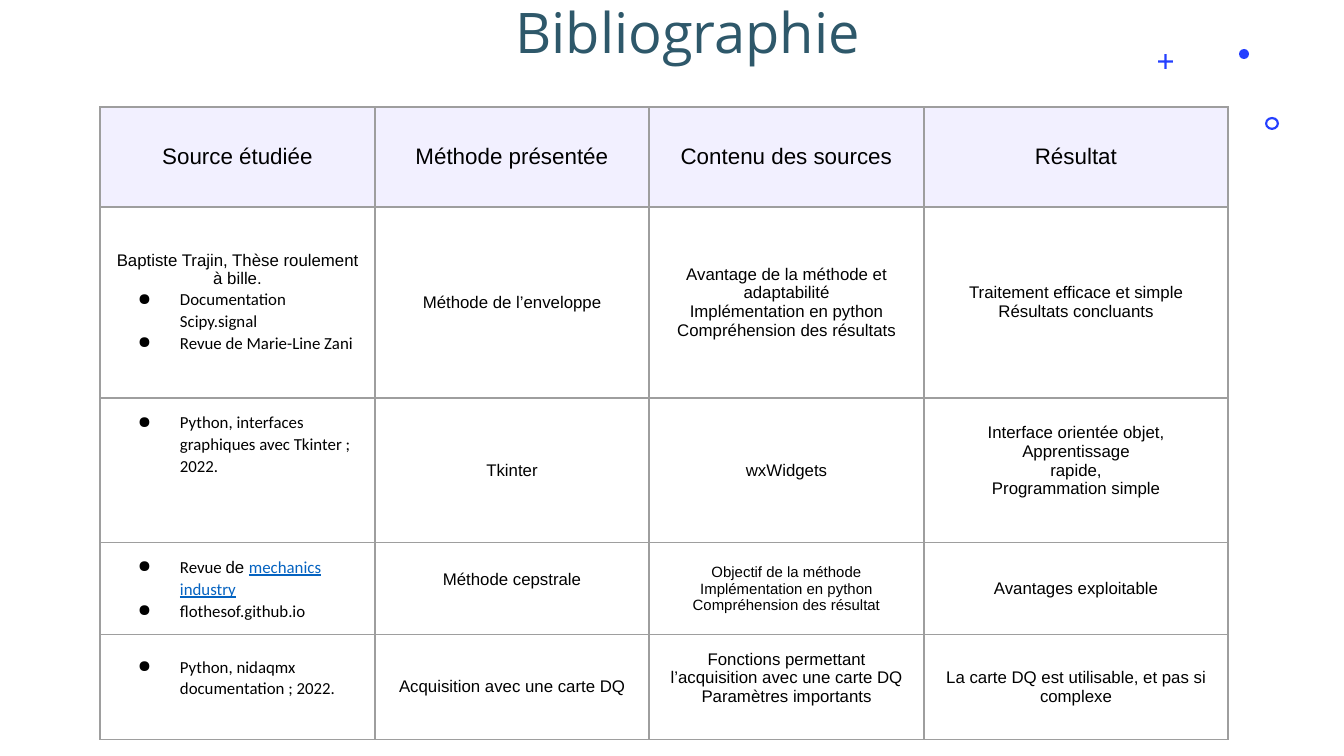
"""Build the bibliography slide: a title, a table of sources and three small ornaments."""
from collections import namedtuple

from lxml import etree
from pptx import Presentation
from pptx import util as u
from pptx.dml.color import RGBColor
from pptx.enum import shapes, text
from pptx.oxml import ns

Run = namedtuple("Run", "text style", defaults=["source"])
Bullet = namedtuple("Bullet", "runs")
Cell = namedtuple("Cell", "paragraphs style lift", defaults=["body", 0])

TITLE = "Bibliographie"
HEADERS = ["Source étudiée", "Méthode présentée", "Contenu des sources", "Résultat"]
ROWS = [
    [
        Cell([
            "Baptiste Trajin, Thèse roulement à bille.",
            Bullet([Run("Documentation Scipy.signal")]),
            Bullet([Run("Revue de Marie-Line Zani")]),
        ]),
        Cell(["Méthode de l’enveloppe"]),
        Cell([
            "Avantage de la méthode et adaptabilité",
            "Implémentation en python",
            "Compréhension des résultats",
        ]),
        Cell(["Traitement efficace et simple", "Résultats concluants"]),
    ],
    [
        Cell([Bullet([Run("Python, interfaces graphiques avec Tkinter ; 2022.")])], lift=52),
        Cell(["Tkinter"]),
        Cell(["wxWidgets"]),
        Cell(
            ["Interface orientée objet,", "Apprentissage", "rapide,", "Programmation simple"],
            lift=19,
        ),
    ],
    [
        Cell([
            Bullet([Run("Revue "), Run("de ", "body"), Run("mechanics industry", "link")]),
            Bullet([Run("flothesof.github.io")]),
        ]),
        Cell(["Méthode cepstrale"], lift=19),
        Cell(
            ["Objectif de la méthode", "Implémentation en python", "Compréhension des résultat"],
            style="small",
        ),
        Cell(["Avantages exploitable"]),
    ],
    [
        Cell([Bullet([Run("Python, nidaqmx documentation ; 2022.")])], lift=19),
        Cell(["Acquisition avec une carte DQ"]),
        Cell(
            ["Fonctions permettant l’acquisition avec une carte DQ", "Paramètres importants"],
            lift=18,
        ),
        Cell(["La carte DQ est utilisable, et pas si complexe"]),
    ],
]
ORNAMENTS = [
    (shapes.MSO_SHAPE.CROSS, (1158, 54, 15, 15), 0.43),
    (shapes.MSO_SHAPE.DONUT, (1265, 117, 14, 13), 0.17),
    (shapes.MSO_SHAPE.OVAL, (1239, 49, 10, 10), None),
]

THEME = {
    "colors": {"accent": "243FFF", "header": "F2F0FF", "border": "9E9E9E", "bullet": "000000"},
    "styles": {
        "title": {"name": "Open Sans", "size": 30, "color": "2E586A"},
        "header": {"name": "Arial", "size": 12, "color": "000000"},
        "body": {"name": "Arial", "size": 9, "color": "000000"},
        "small": {"name": "Arial", "size": 8, "color": "000000"},
        "source": {"name": "Calibri", "size": 9, "color": "000000"},
        "link": {"name": "Calibri", "size": 9, "color": "0563C1", "underline": True},
    },
    "border_width": 0.75,
}

SLIDE_SIZE = (1344, 756)
TITLE_BOX = (109, 0, 1158, 87)
TABLE_ORIGIN = (100, 107)
COLUMN_WIDTHS = [275, 274, 275, 304]
ROW_HEIGHTS = [100, 191, 145, 92, 102]
CELL_MARGIN = 13
BULLET_INDENT, BULLET_HANG = 67, -42


def px(value):
    return u.Emu(round(value * 914400 / 134.4))


def box(values):
    return [px(value) for value in values]


def set_all(target, values):
    for name, value in values.items():
        setattr(target, name, value)


def add_run(paragraph, content, style):
    run = paragraph.add_run()
    run.text = content
    values = dict(THEME["styles"][style])
    run.font.color.rgb = RGBColor.from_string(values.pop("color"))
    set_all(run.font, {**values, "size": u.Pt(values["size"])})


def add_element(parent, tag, **attributes):
    return etree.SubElement(parent, ns.qn(tag), attributes)


def add_bullet(paragraph):
    properties = paragraph._p.get_or_add_pPr()
    properties.set("marL", str(px(BULLET_INDENT)))
    properties.set("indent", str(px(BULLET_HANG)))
    color = add_element(properties, "a:buClr")
    add_element(color, "a:srgbClr", val=THEME["colors"]["bullet"])
    add_element(properties, "a:buChar", char="●")
    set_all(paragraph, {"line_spacing": 1.07, "alignment": text.PP_ALIGN.LEFT})


def add_borders(cell):
    properties = cell._tc.get_or_add_tcPr()
    for side in ("a:lnL", "a:lnR", "a:lnT", "a:lnB"):
        line = add_element(properties, side, w=str(u.Pt(THEME["border_width"])))
        fill = add_element(line, "a:solidFill")
        add_element(fill, "a:srgbClr", val=THEME["colors"]["border"])


def fill_cell(cell, content):
    margins = dict.fromkeys(("margin_left", "margin_right", "margin_top"), px(CELL_MARGIN))
    set_all(cell, {
        **margins,
        "margin_bottom": px(CELL_MARGIN + content.lift),
        "vertical_anchor": text.MSO_ANCHOR.MIDDLE,
    })
    add_borders(cell)
    if content.style == "header":
        cell.fill.solid()
        cell.fill.fore_color.rgb = RGBColor.from_string(THEME["colors"]["header"])
    else:
        cell.fill.background()
    frame = cell.text_frame
    for index, item in enumerate(content.paragraphs):
        paragraph = frame.add_paragraph() if index else frame.paragraphs[0]
        if isinstance(item, Bullet):
            add_bullet(paragraph)
            runs = item.runs
        else:
            paragraph.alignment = text.PP_ALIGN.CENTER
            runs = [Run(item, content.style)]
        for run in runs:
            add_run(paragraph, run.text, run.style)


def add_ornaments(slide):
    for kind, place, adjustment in ORNAMENTS:
        shape = slide.shapes.add_shape(kind, *box(place))
        shape.shadow.inherit = False
        shape.fill.solid()
        shape.fill.fore_color.rgb = RGBColor.from_string(THEME["colors"]["accent"])
        shape.line.fill.background()
        if adjustment is not None:
            shape.adjustments[0] = adjustment


def add_title(slide):
    frame = slide.shapes.add_textbox(*box(TITLE_BOX)).text_frame
    set_all(frame, {
        "word_wrap": True,
        "vertical_anchor": text.MSO_ANCHOR.TOP,
        "margin_top": px(5),
        "margin_bottom": px(5),
    })
    paragraph = frame.paragraphs[0]
    set_all(paragraph, {"alignment": text.PP_ALIGN.CENTER, "line_spacing": 0.9})
    add_run(paragraph, TITLE, "title")


def add_sources(slide):
    rows = [[Cell([header], "header") for header in HEADERS], *ROWS]
    place = box((*TABLE_ORIGIN, sum(COLUMN_WIDTHS), sum(ROW_HEIGHTS)))
    table = slide.shapes.add_table(len(rows), len(HEADERS), *place).table
    set_all(table, {"first_row": False, "horz_banding": False})
    for column, width in zip(table.columns, COLUMN_WIDTHS):
        column.width = px(width)
    for row, height, contents in zip(table.rows, ROW_HEIGHTS, rows):
        row.height = px(height)
        for cell, content in zip(row.cells, contents):
            fill_cell(cell, content)


def main():
    presentation = Presentation()
    presentation.slide_width, presentation.slide_height = box(SLIDE_SIZE)
    slide = presentation.slides.add_slide(presentation.slide_layouts[6])
    add_ornaments(slide)
    add_title(slide)
    add_sources(slide)
    presentation.save("out.pptx")


if __name__ == "__main__":
    main()
